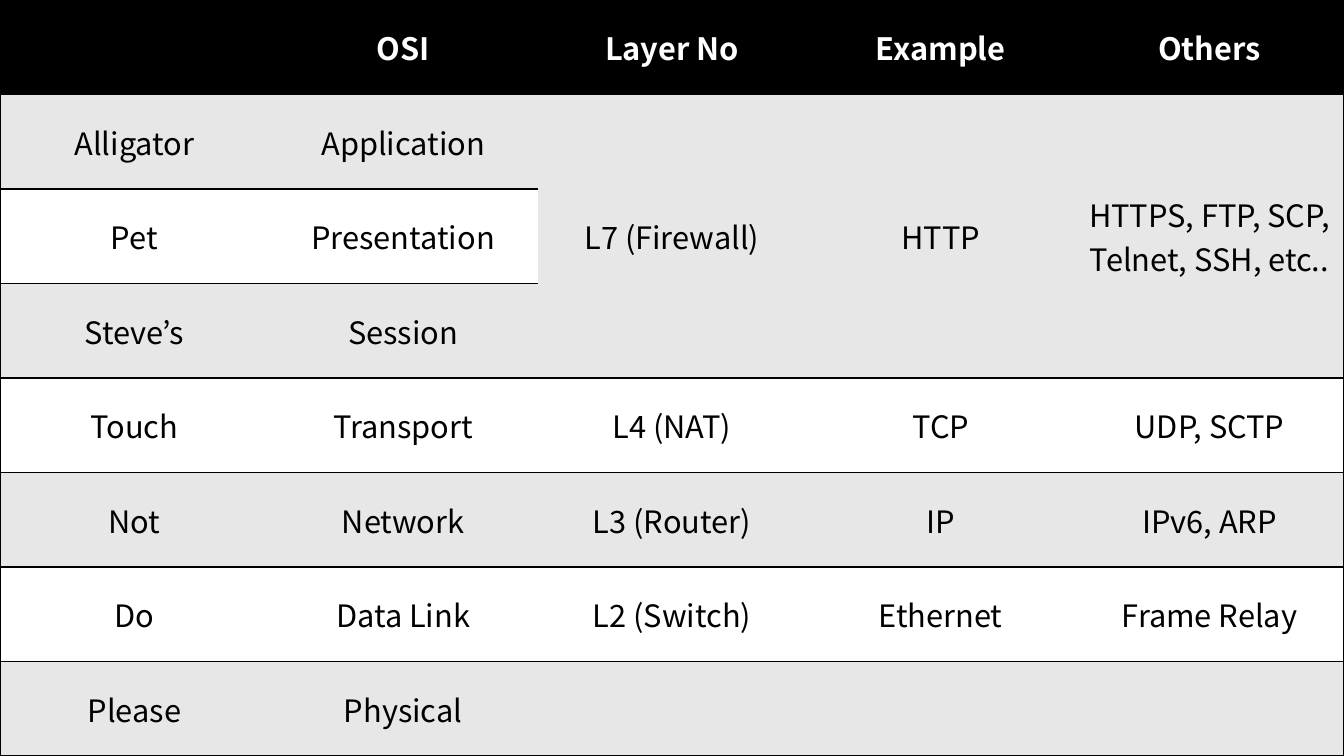
"""Build a slide with a full-page table of the OSI layers."""
from typing import NamedTuple

from lxml.etree import SubElement
from pptx import Presentation
from pptx.dml.color import RGBColor
from pptx.enum.text import MSO_ANCHOR as Anchor, PP_ALIGN as Align
from pptx.oxml.ns import qn
from pptx.util import Pt

COLORS = {"black": "000000", "white": "FFFFFF", "band": "E7E7E7"}
FONT = "Noto Sans CJK KR"
WIDTH, HEIGHT = Pt(960), Pt(540)
BORDER = Pt(1)
FIREWALL_ROWS = (1, 3)


class Layer(NamedTuple):
    mnemonic: str
    osi: str
    number: str = ""
    example: str = ""
    others: str = ""


HEADER = Layer("", "OSI", "Layer No", "Example", "Others")
LAYERS = [
    Layer("Alligator", "Application", "L7 (Firewall)", "HTTP",
          "HTTPS, FTP, SCP, Telnet, SSH, etc.."),
    Layer("Pet", "Presentation"),
    Layer("Steve’s", "Session"),
    Layer("Touch", "Transport", "L4 (NAT)", "TCP", "UDP, SCTP"),
    Layer("Not", "Network", "L3 (Router)", "IP", "IPv6, ARP"),
    Layer("Do", "Data Link", "L2 (Switch)", "Ethernet", "Frame Relay"),
    Layer("Please", "Physical"),
]


def write_text(cell, text: str, *, size: int = 22, color: str = "black",
               bold: bool = False) -> None:
    """Write centred text into a cell."""
    cell.vertical_anchor = Anchor.MIDDLE
    paragraph = cell.text_frame.paragraphs[0]
    paragraph.alignment = Align.CENTER
    paragraph.font.size = Pt(size)
    if not text:
        return
    run = paragraph.add_run()
    run.text = text
    run.font.name = FONT
    run.font.size = Pt(size)
    run.font.bold = bold
    run.font.color.rgb = RGBColor.from_string(COLORS[color])


def set_borders(cell, visible: dict[str, bool]) -> None:
    """Draw the visible edges of a cell and clear the others."""
    properties = cell._tc.get_or_add_tcPr()
    for edge, shown in visible.items():
        line = SubElement(properties, qn(f"a:ln{edge}"), w=str(BORDER))
        if shown:
            fill = SubElement(line, qn("a:solidFill"))
            SubElement(fill, qn("a:srgbClr"), val=COLORS["black"])
        else:
            SubElement(line, qn("a:noFill"))


def set_fill(cell, color: str) -> None:
    """Fill a cell with one colour."""
    cell.fill.solid()
    cell.fill.fore_color.rgb = RGBColor.from_string(COLORS[color])


def add_layer_table(slide, rows: list[Layer]) -> None:
    """Add the table with its header, banding and merged firewall cells."""
    row_count, column_count = len(rows), len(Layer._fields)
    table = slide.shapes.add_table(row_count, column_count, 0, 0, WIDTH, HEIGHT).table
    table.horz_banding = False
    first, last = FIREWALL_ROWS
    for column in range(2, column_count):
        table.cell(first, column).merge(table.cell(last, column))

    for row_index, layer in enumerate(rows):
        header = row_index == 0
        fill = "black" if header else "band" if row_index % 2 else "white"
        for column, text in enumerate(layer):
            cell = table.cell(row_index, column)
            merged = column >= 2 and first <= row_index <= last
            set_borders(cell, {
                "L": column == 0,
                "R": column == column_count - 1,
                "T": not merged or row_index == first,
                "B": not merged or row_index == last,
            })
            set_fill(cell, "band" if merged else fill)
            write_text(cell, text, color="white" if header else "black", bold=header)


def main() -> None:
    """Create and save the presentation."""
    presentation = Presentation()
    presentation.slide_width, presentation.slide_height = WIDTH, HEIGHT
    slide = presentation.slides.add_slide(presentation.slide_layouts[6])
    add_layer_table(slide, [HEADER, *LAYERS])
    presentation.save("out.pptx")


main()
